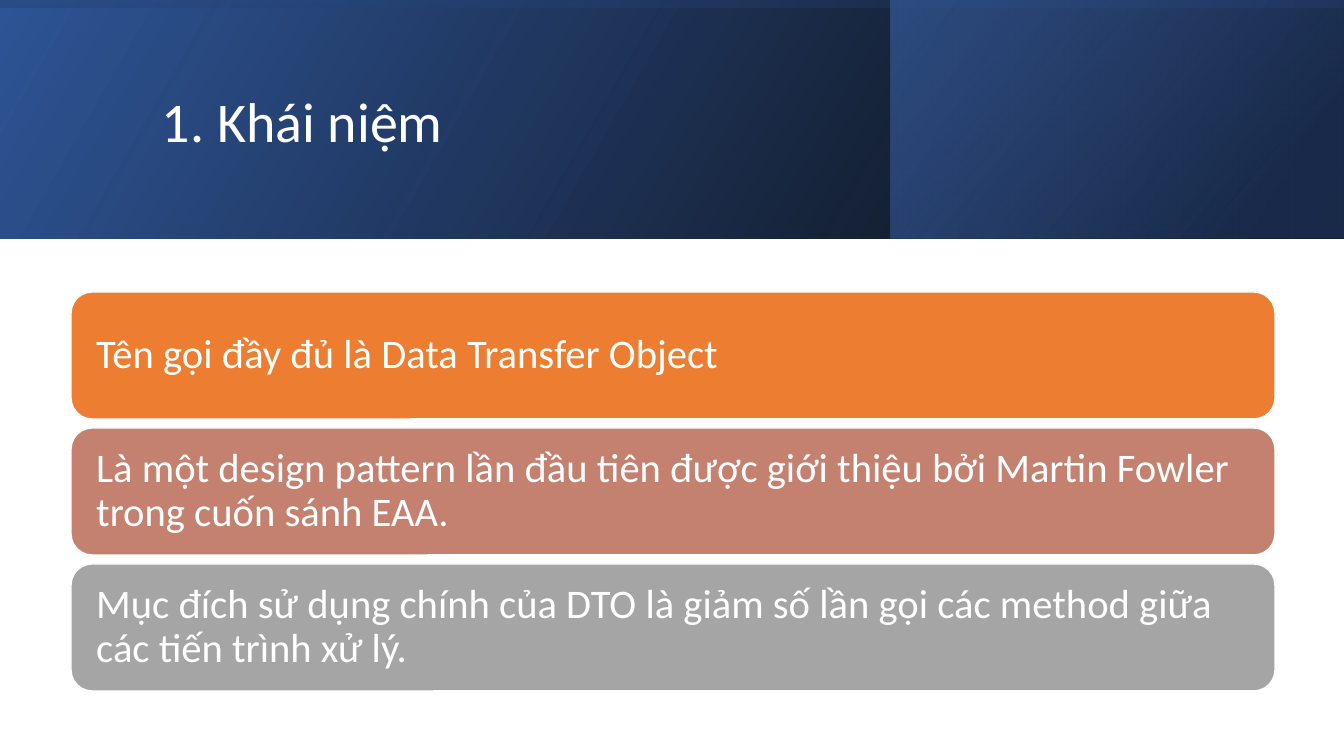
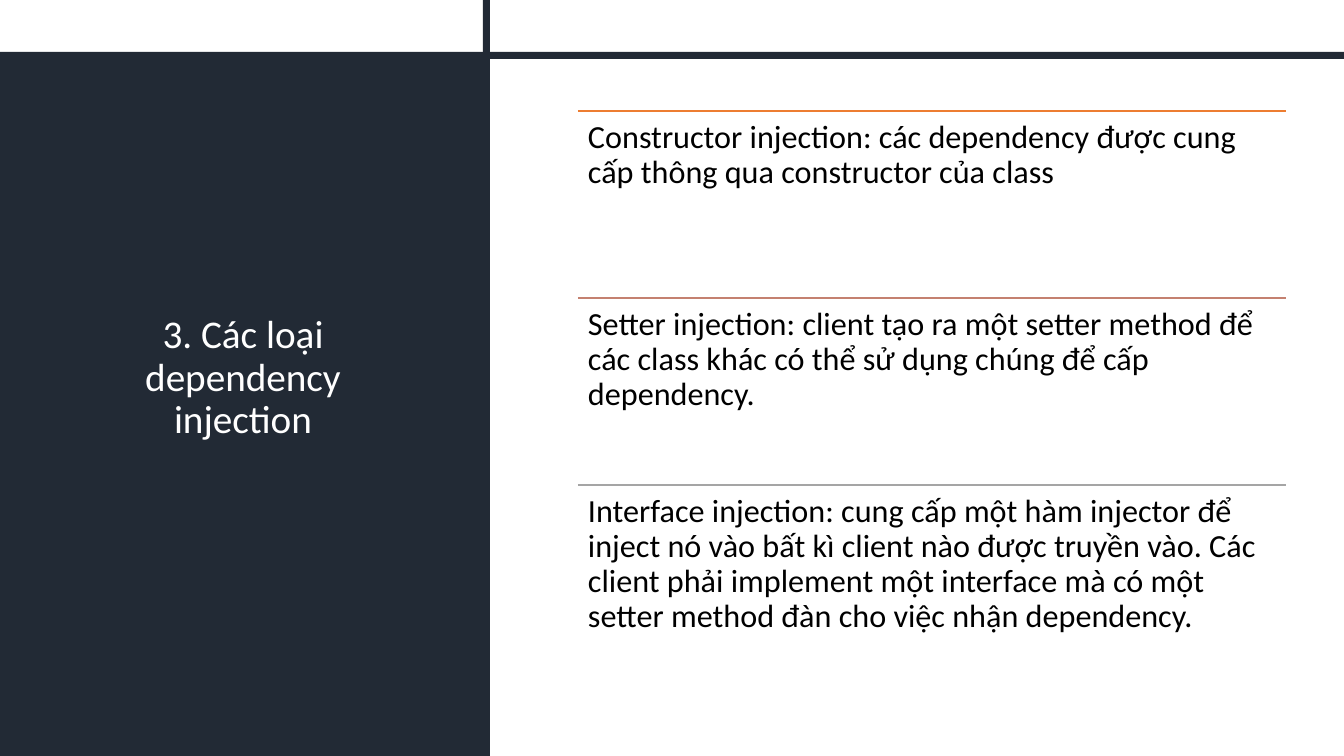
from dataclasses import dataclass

from lxml.etree import SubElement
from pptx import Presentation
from pptx.dml.color import RGBColor
from pptx.enum.shapes import MSO_CONNECTOR, MSO_SHAPE
from pptx.enum.text import MSO_ANCHOR, MSO_AUTO_SIZE, PP_ALIGN
from pptx.oxml.ns import qn
from pptx.util import Emu, Pt

WIDTH, HEIGHT = 1344, 756
EMU_PER_PX = 12192000 / WIDTH


@dataclass(frozen=True)
class Theme:
    """Colours and type sizes of the deck."""

    font: str = "Calibri"
    white: str = "FFFFFF"
    black: str = "000000"
    slate: str = "222A35"
    blue: str = "2F5597"
    navy: str = "203864"
    sky: str = "4472C4"
    accents: tuple = ("ED7D31", "C48170", "A5A5A5")
    title: int = 40
    side_title: int = 28
    card: int = 29
    entry: int = 23


def px(n):
    """Turn pixels into EMU."""
    return Emu(round(n * EMU_PER_PX))


def rgb(color):
    """Turn a hex string into a colour."""
    return RGBColor.from_string(color)


def write(sp, text, *, size, color, font, align=PP_ALIGN.LEFT,
          anchor=MSO_ANCHOR.MIDDLE, inset=10):
    """Put one formatted paragraph into a shape."""
    tf = sp.text_frame
    tf.word_wrap = True
    tf.auto_size = MSO_AUTO_SIZE.NONE
    tf.vertical_anchor = anchor
    tf.margin_left = tf.margin_right = px(inset)
    tf.margin_top = tf.margin_bottom = px(inset)
    p = tf.paragraphs[0]
    p.alignment = align
    p.line_spacing = 0.9
    r = p.add_run()
    r.text = text
    r.font.name = font
    r.font.size = Pt(size)
    r.font.color.rgb = rgb(color)


class Deck:
    """Hold the style and the current slide."""

    def __init__(self, theme):
        """Start an empty widescreen deck."""
        self.theme = theme
        self.prs = Presentation()
        self.prs.slide_width, self.prs.slide_height = px(WIDTH), px(HEIGHT)
        self.s = None

    def add_slide(self):
        """Start a slide with a title only."""
        self.s = self.prs.slides.add_slide(self.prs.slide_layouts[5])

    def title(self, text, box, size, align=PP_ALIGN.LEFT):
        """Fill and place the title, in front of what is drawn so far."""
        sp = self.s.shapes.title
        sp.left, sp.top, sp.width, sp.height = map(px, box)
        write(sp, text, size=size, color=self.theme.white,
              font=self.theme.font, align=align)
        tree = sp.element.getparent()
        tree.append(sp.element)

    def shape(self, box, kind=MSO_SHAPE.RECTANGLE):
        """Add a plain shape without line or shadow."""
        sp = self.s.shapes.add_shape(kind, *map(px, box))
        sp.shadow.inherit = False
        sp.line.fill.background()
        return sp

    def block(self, box, color):
        """Add a solid rectangle."""
        sp = self.shape(box)
        sp.fill.solid()
        sp.fill.fore_color.rgb = rgb(color)

    def gradient(self, box, stops, angle, rotation=0):
        """Add a mirrored rectangle with a translucent gradient."""
        sp = self.shape(box)
        sp.rotation = rotation
        sp.element.spPr.find(qn("a:xfrm")).set("flipH", "1")
        sp.fill.gradient()
        sp.fill.gradient_angle = 360 - angle
        for stop, (position, color, _) in zip(sp.fill.gradient_stops, stops):
            stop.position = position / 100
            stop.color.rgb = rgb(color)
        colors = sp.element.spPr.find(qn("a:gradFill")).iter(qn("a:srgbClr"))
        for clr, (_, _, opacity) in zip(list(colors), stops):
            SubElement(clr, qn("a:alpha")).set("val", str(opacity * 1000))

    def card(self, text, box, color):
        """Add a rounded card with text."""
        sp = self.shape(box, MSO_SHAPE.ROUNDED_RECTANGLE)
        sp.fill.solid()
        sp.fill.fore_color.rgb = rgb(color)
        sp.line.color.rgb = rgb(self.theme.white)
        sp.line.width = Pt(1)
        write(sp, text, size=self.theme.card, color=self.theme.white,
              font=self.theme.font, inset=19)

    def entry(self, text, box, color):
        """Add a text with a coloured rule on top."""
        x, y, w, _ = box
        line = self.s.shapes.add_connector(
            MSO_CONNECTOR.STRAIGHT, px(x), px(y), px(x + w), px(y))
        line.line.color.rgb = rgb(color)
        line.line.width = Pt(1)
        SubElement(line.element.spPr, qn("a:effectLst"))
        sp = self.s.shapes.add_textbox(*map(px, box))
        write(sp, text, size=self.theme.entry, color=self.theme.black,
              font=self.theme.font, anchor=MSO_ANCHOR.TOP)


def concept_slide(deck):
    """Build the slide on the concept of DTO."""
    t = deck.theme
    band = 239
    deck.add_slide()
    deck.gradient((0, 0, WIDTH, band),
                  [(0, t.black, 96), (100, t.blue, 100)], 330)
    deck.gradient((891, 0, WIDTH - 891, band),
                  [(19, t.navy, 68), (100, t.sky, 48)], 320)
    offset = (WIDTH - band) // 2
    deck.gradient((offset, -offset, band, WIDTH),
                  [(23, t.blue, 16), (99, t.black, 45)], 350, rotation=270)
    deck.title("1. Khái niệm", (152, 38, 1071, 173), t.title)
    texts = (
        "Tên gọi đầy đủ là Data Transfer Object",
        "Là một design pattern lần đầu tiên được giới thiệu bởi Martin Fowler "
        "trong cuốn sánh EAA.",
        "Mục đích sử dụng chính của DTO là giảm số lần gọi các method giữa "
        "các tiến trình xử lý.",
    )
    for i, (text, color) in enumerate(zip(texts, t.accents)):
        deck.card(text, (71, 292 + i * 136, 1204, 127), color)


def types_slide(deck):
    """Build the slide on the types of dependency injection."""
    t = deck.theme
    deck.add_slide()
    deck.block((0, 58, 490, HEIGHT - 58), t.slate)
    deck.title("3. Các loại dependency injection", (66, 85, 354, 587),
               t.side_title, PP_ALIGN.CENTER)
    deck.block((483, 0, 7, HEIGHT), t.slate)
    deck.block((0, 52, WIDTH, 7), t.slate)
    texts = (
        "Constructor injection: các dependency được cung cấp thông qua "
        "constructor của class",
        "Setter injection: client tạo ra một setter method để các class khác "
        "có thể sử dụng chúng để cấp dependency.",
        "Interface injection: cung cấp một hàm injector để inject nó vào bất "
        "kì client nào được truyền vào. Các client phải implement một "
        "interface mà có một setter method đàn cho việc nhận dependency.",
    )
    for i, (text, color) in enumerate(zip(texts, t.accents)):
        deck.entry(text, (578, 111 + i * 187, 708, 187), color)


def main():
    """Build and save the deck."""
    deck = Deck(Theme())
    concept_slide(deck)
    types_slide(deck)
    deck.prs.save("out.pptx")


if __name__ == "__main__":
    main()
